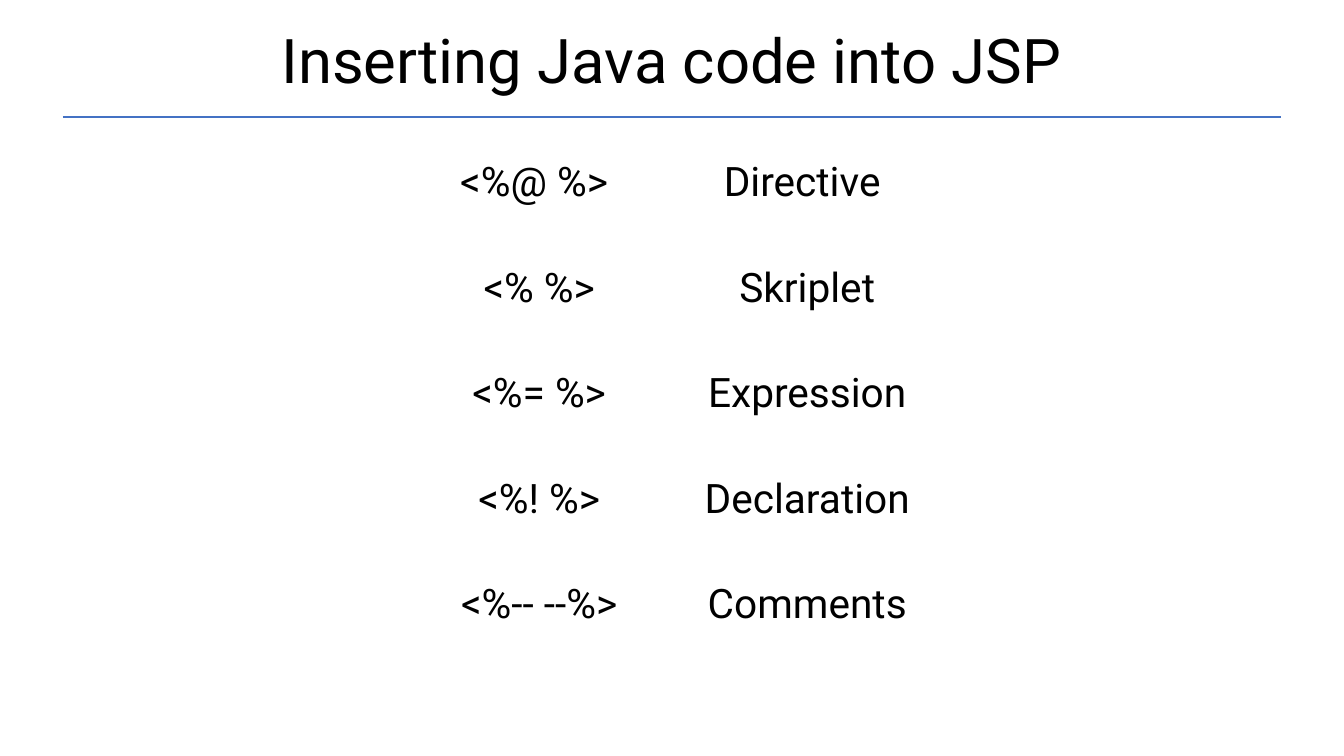
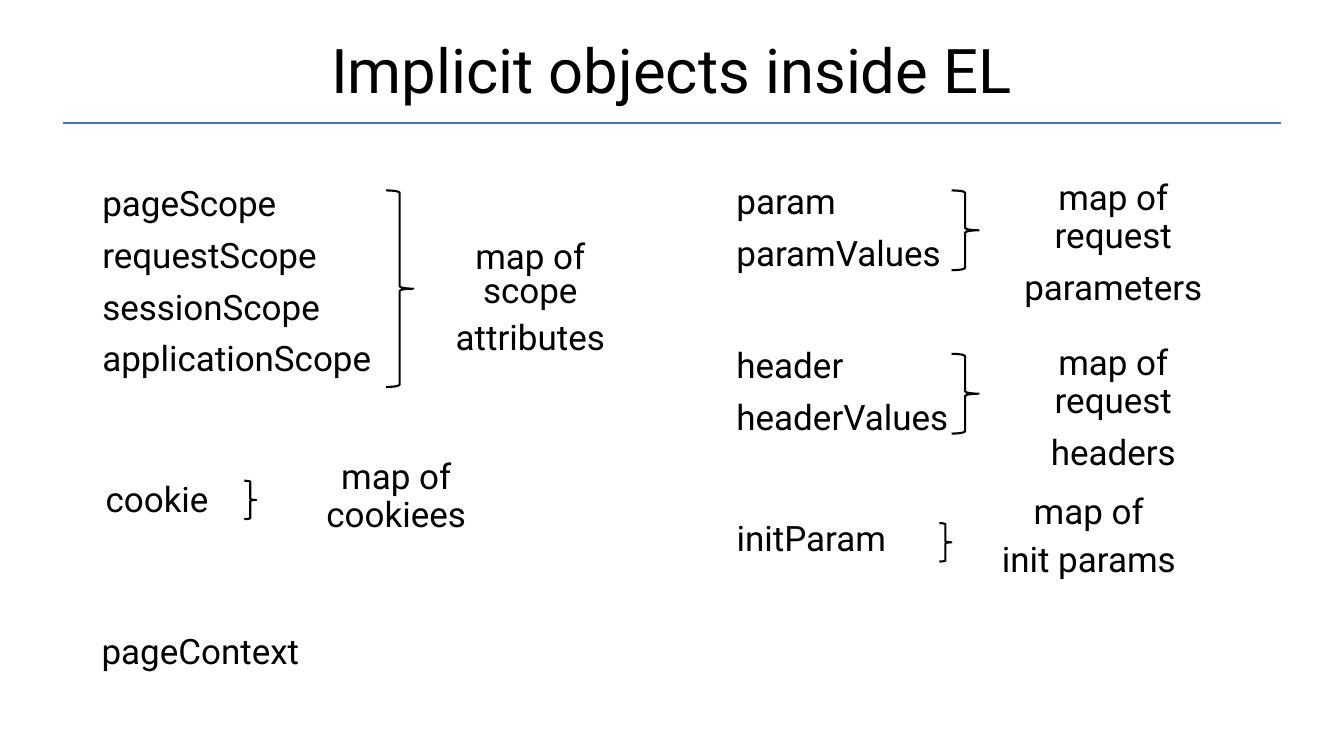
from pptx import Presentation
from pptx.dml.color import RGBColor
from pptx.enum import shapes, text
from pptx.oxml import parse_xml
from pptx.oxml.ns import nsdecls
from pptx.util import Pt

FONT = "Roboto"
BLACK = RGBColor.from_string("000000")
BLUE = RGBColor.from_string("4472C4")
CENTER, LEFT = text.PP_ALIGN.CENTER, text.PP_ALIGN.LEFT


def write(frame, lines, size, align=LEFT, spacing=None, before=None):
    """Fill a text frame with one paragraph per line."""
    for index, line in enumerate(lines):
        para = frame.add_paragraph() if index else frame.paragraphs[0]
        para.alignment = align
        para.line_spacing = spacing
        para.space_before = before
        span = para.add_run()
        span.text = line
        span.font.name = FONT
        span.font.size = Pt(size)
        span.font.color.rgb = BLACK


def add_text(page, left, top, width, height, lines, size=25, align=LEFT,
             spacing=0.9, before=Pt(10), anchor=text.MSO_ANCHOR.TOP):
    box = page.shapes.add_textbox(Pt(left), Pt(top), Pt(width), Pt(height))
    box.text_frame.word_wrap = True
    box.text_frame.vertical_anchor = anchor
    write(box.text_frame, lines, size, align, spacing, before)


deck = Presentation()
deck.slide_width, deck.slide_height = Pt(960), Pt(540)

# Title and rule: text, title top, rule height
headings = [
    ("Inserting Java code into JSP", -6.5, 83.5),
    ("Implicit objects inside EL", 0, 88),
]
pages = []
for title, title_top, rule_y in headings:
    page = deck.slides.add_slide(deck.slide_layouts[6])
    add_text(page, 66, title_top, 828, 104.4, [title], 44, CENTER,
             before=None, anchor=text.MSO_ANCHOR.MIDDLE)
    rule = page.shapes.add_connector(
        shapes.MSO_CONNECTOR.STRAIGHT, Pt(45), Pt(rule_y), Pt(915), Pt(rule_y))
    rule.line.color.rgb = BLUE
    rule.line.width = Pt(1.5)
    rule._element.spPr.append(parse_xml(f"<a:effectLst {nsdecls('a')}/>"))
    pages.append(page)
tags_page, objects_page = pages

# JSP tags
tags = [
    ("<%@ %> ", "Directive "),
    ("<% %>", "Skriplet"),
    ("<%= %>", "Expression"),
    ("<%! %>", "Declaration"),
    ("<%-- --%>", "Comments"),
]
row_height = 75.4
table = tags_page.shapes.add_table(
    len(tags), 2, Pt(288.7), Pt(110), Pt(383), Pt(row_height * len(tags))).table
table.first_row = table.horz_banding = False
table.columns[0].width, table.columns[1].width = Pt(193), Pt(190)
for row, tag in zip(table.rows, tags):
    row.height = Pt(row_height)
    for cell, label in zip(row.cells, tag):
        cell.fill.background()
        write(cell.text_frame, [label], 29, CENTER)

# Implicit objects: left, top, width, height, names
object_lists = [
    (66, 129.6, 217, 161,
     ["pageScope", "requestScope", "sessionScope", "applicationScope"], 0.9),
    (68.4, 340.6, 191, 94, ["cookie"], 0.9),
    (65.5, 452.2, 297, 60, ["pageContext"], 0.8),
    (519, 128.2, 188, 85, ["param", "paramValues"], 0.9),
    (519, 245.5, 235, 94, ["header", "headerValues"], 0.9),
    (519, 368.6, 173, 94, ["initParam"], 0.9),
]
for left, top, width, height, names, spacing in object_lists:
    add_text(objects_page, left, top, width, height, names, spacing=spacing)

# What each group of objects maps to
meanings = [
    (303.8, 170, 150, 71, ["map of scope", "attributes"], 0.8),
    (208, 324.7, 150, 71, ["map of cookiees"], 0.9),
    (707, 125.3, 176.4, 78, ["map of request", "parameters"], 0.9),
    (707, 243.4, 176.4, 78, ["map of request", "headers"], 0.9),
    (702.7, 352, 150, 71, ["map of", "init params"], 0.8),
]
for left, top, width, height, lines, spacing in meanings:
    add_text(objects_page, left, top, width, height, lines,
             align=CENTER, spacing=spacing)

braces = [
    (275.8, 136, 19.4, 140.4),
    (679.7, 136, 19.4, 57),
    (679.7, 252.7, 19.4, 57),
    (174.5, 343.4, 8.6, 27.4),
    (671, 373.7, 8.6, 27.4),
]
for bounds in braces:
    brace = objects_page.shapes.add_shape(
        shapes.MSO_SHAPE.RIGHT_BRACE, *map(Pt, bounds))
    brace.shadow.inherit = False
    brace.fill.background()
    brace.line.color.rgb = BLACK
    brace.line.width = Pt(1.5)

deck.save("out.pptx")
